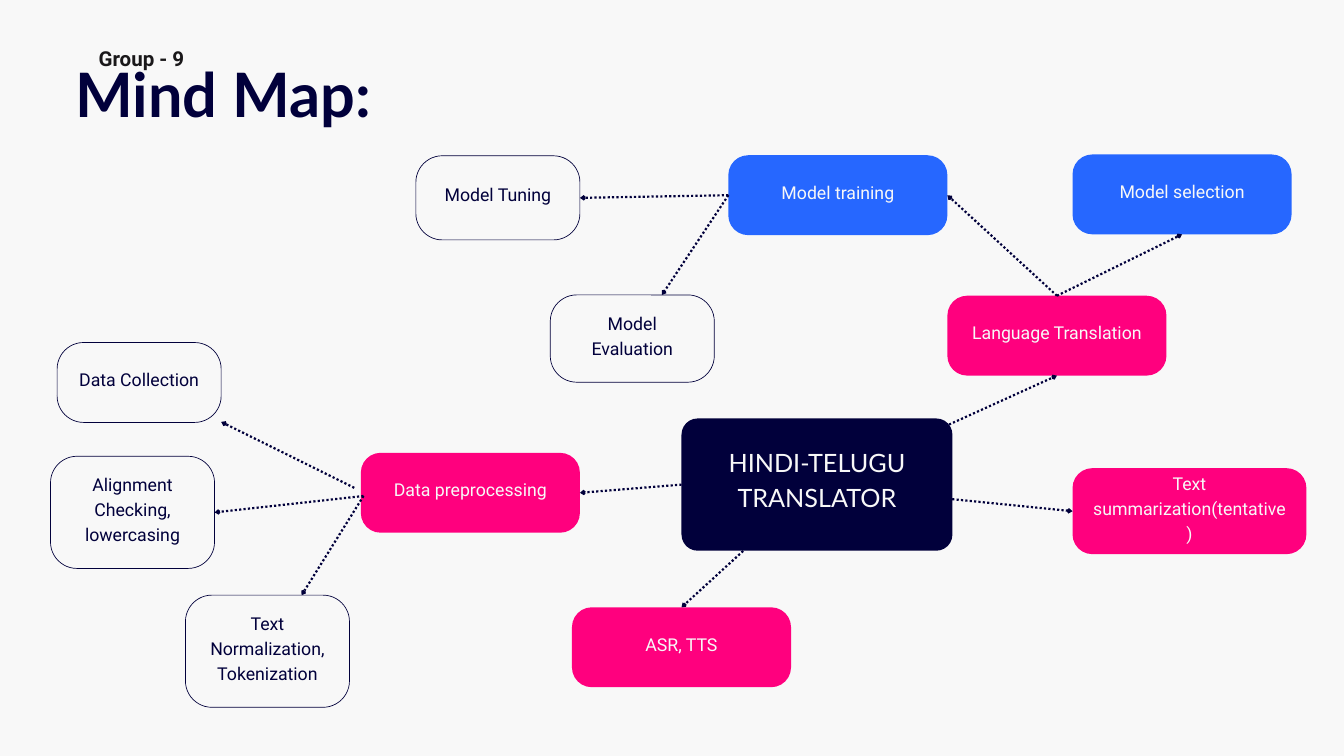
from lxml.etree import SubElement
from pptx import Presentation
from pptx.dml.color import RGBColor
from pptx.enum.dml import MSO_LINE
from pptx.enum.shapes import MSO_CONNECTOR, MSO_SHAPE
from pptx.enum.text import MSO_ANCHOR, PP_ALIGN
from pptx.oxml.ns import qn
from pptx.util import Cm, Pt

NAVY, PINK, BLUE, PAPER, INK = "01003B", "FF007E", "2667FF", "F8F8F8", "1A181A"
TOP, LEFT, BOTTOM, RIGHT = range(4)


def color(value):
    """Turn a hex string into a colour."""
    return RGBColor.from_string(value)


def write(frame, text, *, size, spacing, ink, font="Roboto", bold=False,
          align=PP_ALIGN.LEFT, anchor=MSO_ANCHOR.TOP, insets=(0, 0, 0, 0)):
    """Fill a text frame, one paragraph per line of text."""
    frame.word_wrap = True
    frame.vertical_anchor = anchor
    (frame.margin_left, frame.margin_top,
     frame.margin_right, frame.margin_bottom) = map(Cm, insets)
    for index, line in enumerate(text.split("\n")):
        para = frame.paragraphs[0] if index == 0 else frame.add_paragraph()
        para.alignment = align
        para.line_spacing = Pt(spacing)
        span = para.add_run()
        span.text = line
        span.font.name = font
        span.font.size = Pt(size)
        span.font.bold = bold
        span.font.color.rgb = color(ink)


class MindMap:
    """Hold the mind map style and the current page."""

    inset = 0.71
    corner_share = 0.29

    def __init__(self, page):
        """Start on a page with a plain background."""
        self.shapes = page.shapes
        fill = page.background.fill
        fill.solid()
        fill.fore_color.rgb = color(PAPER)

    def label(self, text, left, top, width, height, **style):
        """Add free-standing text."""
        box = self.shapes.add_textbox(Cm(left), Cm(top), Cm(width), Cm(height))
        write(box.text_frame, text, **style)

    def node(self, text, left, top, width=8.28, height=3.02, fill=PINK, ink=PAPER,
             outline=None, radius=0.75, lift=0.36, size=19, spacing=26.6, font="Roboto"):
        """Add a rounded box with centred text raised a little."""
        box = self.shapes.add_shape(MSO_SHAPE.ROUNDED_RECTANGLE,
                                    Cm(left), Cm(top), Cm(width), Cm(height))
        box.adjustments[0] = radius / min(width, height)
        box.shadow.inherit = False
        box.fill.solid()
        box.fill.fore_color.rgb = color(fill)
        if outline:
            box.line.color.rgb = color(outline)
            box.line.width = Pt(0.75)
        else:
            box.line.fill.background()
        side = self.inset - self.corner_share * radius
        write(box.text_frame, text, size=size, spacing=spacing, ink=ink, font=font,
              align=PP_ALIGN.CENTER, anchor=MSO_ANCHOR.MIDDLE,
              insets=(side, max(side - lift, 0), side, side))
        return box

    def leaf(self, text, left, top, height):
        """Add an outlined end box."""
        return self.node(text, left, top, 6.2, height, fill=PAPER, ink=NAVY,
                         outline=NAVY, radius=1)

    def link(self, start, end):
        """Add a dotted arrow between points or (box, side) pairs."""
        joined = [not isinstance(spot[0], (int, float)) for spot in (start, end)]
        x1, y1 = (0, 0) if joined[0] else start
        x2, y2 = (0, 0) if joined[1] else end
        line = self.shapes.add_connector(MSO_CONNECTOR.STRAIGHT,
                                         Cm(x1), Cm(y1), Cm(x2), Cm(y2))
        if joined[0]:
            line.begin_connect(*start)
        if joined[1]:
            line.end_connect(*end)
        line.line.color.rgb = color(NAVY)
        line.line.width = Pt(2.34)
        line.line.dash_style = MSO_LINE.ROUND_DOT
        properties = line._element.spPr
        SubElement(properties.find(qn("a:ln")), qn("a:tailEnd"),
                   type="arrow", w="sm", len="sm")
        SubElement(properties, qn("a:effectLst"))


def main():
    """Build the mind map page."""
    deck = Presentation()
    deck.slide_width, deck.slide_height = Cm(50.8), Cm(28.58)
    mind_map = MindMap(deck.slides.add_slide(deck.slide_layouts[6]))

    mind_map.label("Mind Map:", 2.84, 2.13, 17.68, 2.77, size=65.6, spacing=78.7,
                   ink=NAVY, font="Lato", bold=True)
    mind_map.label("Group - 9", 3.73, 1.6, 9.02, 1.02, size=22, spacing=30.8,
                   ink=INK, bold=True)

    translator = mind_map.node("HINDI-TELUGU\nTRANSLATOR", 25.76, 15.82, 10.24, 5, fill=NAVY,
                               radius=0.61, lift=0.58, size=27, spacing=37.8, font="Lato")
    preprocessing = mind_map.node("Data preprocessing", 13.64, 17.12)
    translation = mind_map.node("Language Translation", 35.81, 11.18)
    speech = mind_map.node("ASR, TTS", 21.62, 22.96)
    summary = mind_map.node("Text summarization(tentative)", 40.54, 17.7, 8.84, 3.25)
    training = mind_map.node("Model training", 27.53, 5.87, fill=BLUE)
    selection = mind_map.node("Model selection", 40.54, 5.84, fill=BLUE)
    mind_map.leaf("Model Evaluation", 20.8, 11.15, 3.3)
    tuning = mind_map.leaf("Model Tuning", 15.72, 5.89, 3.18)
    mind_map.leaf("Text Normalization, Tokenization", 7.01, 22.5, 4.24)
    alignment = mind_map.leaf("Alignment Checking, lowercasing", 1.91, 17.25, 4.24)
    mind_map.leaf("Data Collection", 2.16, 12.95, 3.02)

    fork = (13.74, 18.75)
    links = [
        ((35.99, 18.87), (summary, LEFT)),
        ((35.87, 16.05), (translation, BOTTOM)),
        ((28.09, 20.83), (speech, TOP)),
        ((translator, LEFT), (preprocessing, RIGHT)),
        ((translation, TOP), (training, RIGHT)),
        ((translation, TOP), (selection, BOTTOM)),
        ((training, LEFT), (25.02, 11.15)),
        ((training, LEFT), (tuning, RIGHT)),
        (fork, (11.4, 22.5)),
        (fork, (alignment, RIGHT)),
        ((13.39, 18.44), (8.36, 15.95)),
    ]
    for start, end in links:
        mind_map.link(start, end)

    deck.save("out.pptx")


if __name__ == "__main__":
    main()
